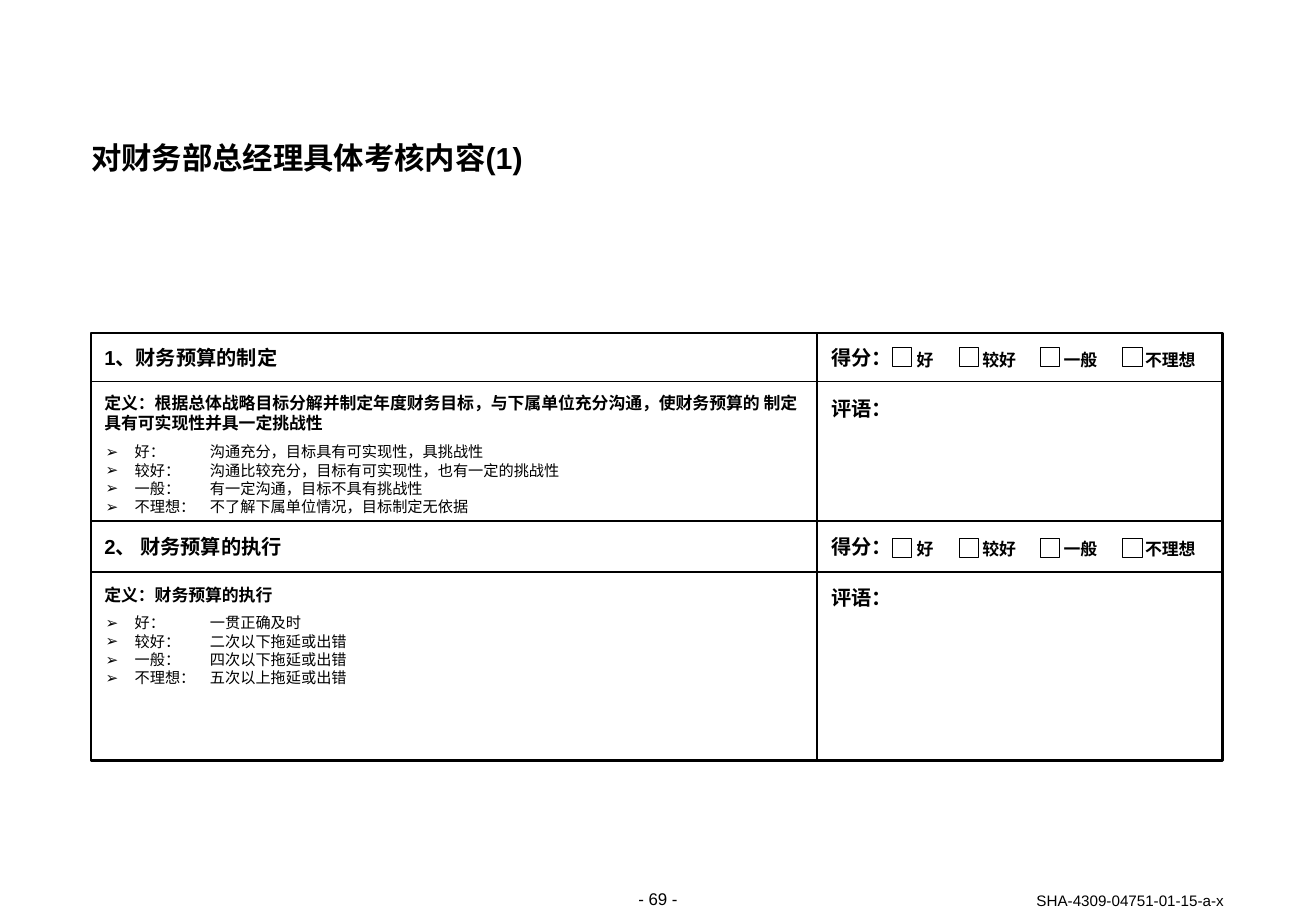
from lxml.etree import SubElement
from pptx import Presentation
from pptx.dml.color import RGBColor
from pptx.enum.shapes import MSO_CONNECTOR, MSO_SHAPE
from pptx.enum.text import MSO_ANCHOR, PP_ALIGN
from pptx.oxml.ns import qn
from pptx.util import Emu, Pt

TITLE = "对财务部总经理具体考核内容(1)"
PAGE_NUMBER = "- 69 -"
DOCUMENT_CODE = "SHA-4309-04751-01-15-a-x"
SCORE, COMMENT = "得分：", "评语："
OPTIONS = [("好", 735, 755), ("较好", 790, 809), ("一般", 857, 876), ("不理想", 925, 943)]
SECTIONS = [
    {
        "heading": "1、财务预算的制定",
        "definition": "定义：根据总体战略目标分解并制定年度财务目标，与下属单位充分沟通，"
                      "使财务预算的 制定\t 具有可实现性并具一定挑战性",
        "grades": ["沟通充分，目标具有可实现性，具挑战性",
                   "沟通比较充分，目标有可实现性，也有一定的挑战性",
                   "有一定沟通，目标不具有挑战性",
                   "不了解下属单位情况，目标制定无依据"],
        "heading_top": 284, "definition_top": 323, "definition_height": 33,
        "grades_top": 366, "comment_top": 327, "checkbox_top": 286, "label_top": 285,
    },
    {
        "heading": "2、 财务预算的执行",
        "definition": "定义：财务预算的执行",
        "grades": ["一贯正确及时", "二次以下拖延或出错",
                   "四次以下拖延或出错", "五次以上拖延或出错"],
        "heading_top": 440, "definition_top": 481, "definition_height": 17,
        "grades_top": 507, "comment_top": 483, "checkbox_top": 443, "label_top": 441,
    },
]
ROW_LINES = [314, 429, 471]

BLACK, WHITE = "000000", "FFFFFF"
FRAME_LEFT, FRAME_TOP, FRAME_WIDTH, FRAME_HEIGHT = 75, 274, 932, 352
COLUMN_X = 673
LEFT_TEXT, RIGHT_TEXT = 86, 685
CHECKBOX, CHARACTER = 16, 14
EMU_PER_PX = 9144


def px(length):
    return Emu(length * EMU_PER_PX)


def color(value):
    return RGBColor.from_string(value)


def add_bullet(para, mark):
    properties = para._p.get_or_add_pPr()
    properties.set("marL", str(px(25)))
    properties.set("indent", str(px(-24)))
    bullet_color = SubElement(properties, qn("a:buClr"))
    SubElement(bullet_color, qn("a:srgbClr"), val=BLACK)
    SubElement(properties, qn("a:buFont"), typeface="Arial")
    SubElement(properties, qn("a:buChar"), char=mark)


def add_tabs(para, stops):
    tabs = SubElement(para._p.get_or_add_pPr(), qn("a:tabLst"))
    for stop in stops:
        SubElement(tabs, qn("a:tab"), pos=str(px(stop)), algn="l")


def add_text(page, lines, left, top, width, height, size=12, bold=True, wrap=True,
             align=PP_ALIGN.LEFT, anchor=MSO_ANCHOR.TOP, spacing=None, before=None,
             bullet=None, tabs=()):
    box = page.shapes.add_textbox(px(left), px(top), px(width), px(height))
    frame = box.text_frame
    frame.margin_left = frame.margin_right = frame.margin_top = frame.margin_bottom = 0
    frame.word_wrap = wrap
    frame.vertical_anchor = anchor
    for index, line in enumerate(lines):
        para = frame.add_paragraph() if index else frame.paragraphs[0]
        para.alignment = align
        if spacing:
            para.line_spacing = spacing
        if before and index:
            para.space_before = before
        if bullet:
            add_bullet(para, bullet)
        if tabs:
            add_tabs(para, tabs)
        span = para.add_run()
        span.text = line
        span.font.name = "Arial"
        span.font.size = Pt(size)
        span.font.bold = bold
        span.font.color.rgb = color(BLACK)


def add_centered(page, text, left, top, width, size):
    add_text(page, [text], left, top, width, 19, size=size, wrap=False,
             align=PP_ALIGN.CENTER, anchor=MSO_ANCHOR.MIDDLE, spacing=Pt(14))


def add_rectangle(page, left, top, width, height, weight, fill=None):
    shape = page.shapes.add_shape(MSO_SHAPE.RECTANGLE, px(left), px(top), px(width), px(height))
    shape.shadow.inherit = False
    if fill:
        shape.fill.solid()
        shape.fill.fore_color.rgb = color(fill)
    else:
        shape.fill.background()
    shape.line.color.rgb = color(BLACK)
    shape.line.width = Pt(weight)


def add_line(page, x1, y1, x2, y2, weight):
    line = page.shapes.add_connector(MSO_CONNECTOR.STRAIGHT, px(x1), px(y1), px(x2), px(y2))
    line.line.color.rgb = color(BLACK)
    line.line.width = Pt(weight)
    SubElement(line._element.spPr, qn("a:effectLst"))


def add_section(page, section):
    add_text(page, [section["heading"]], LEFT_TEXT, section["heading_top"], 197, 20)
    add_text(page, [section["definition"]], LEFT_TEXT, section["definition_top"], 574,
             section["definition_height"], size=10, tabs=(38, 225, 600))
    grades = [f"{option[0]}：\t{text}" for option, text in zip(OPTIONS, section["grades"])]
    add_text(page, grades, LEFT_TEXT, section["grades_top"], 576, 59, size=9, bold=False,
             spacing=0.9, before=Pt(1.1), bullet="➢", tabs=(87,))
    add_text(page, [SCORE], RIGHT_TEXT, section["heading_top"], 55, 20)
    add_centered(page, COMMENT, RIGHT_TEXT, section["comment_top"], 50, 12)
    for name, checkbox_left, label_left in OPTIONS:
        add_rectangle(page, checkbox_left, section["checkbox_top"], CHECKBOX, CHECKBOX, 0.5,
                      fill=WHITE)
        add_centered(page, name, label_left, section["label_top"], len(name) * CHARACTER, 10)


def main():
    deck = Presentation()
    deck.slide_width, deck.slide_height = px(1084), px(750)
    page = deck.slides.add_slide(deck.slide_layouts[6])

    add_text(page, [TITLE], FRAME_LEFT, 117, 933, 28, size=18, spacing=Pt(20))
    add_rectangle(page, FRAME_LEFT, FRAME_TOP, FRAME_WIDTH, FRAME_HEIGHT, 1.5)
    add_line(page, COLUMN_X, FRAME_TOP, COLUMN_X, FRAME_TOP + FRAME_HEIGHT, 1.5)
    for y in ROW_LINES:
        add_line(page, FRAME_LEFT, y, FRAME_LEFT + FRAME_WIDTH, y, 1)
    for section in SECTIONS:
        add_section(page, section)

    add_text(page, [PAGE_NUMBER], 485, 732, 114, 17, size=10, bold=False, align=PP_ALIGN.CENTER)
    add_text(page, [DOCUMENT_CODE], 764, 734, 244, 15, size=9, bold=False,
             align=PP_ALIGN.RIGHT, anchor=MSO_ANCHOR.BOTTOM, spacing=Pt(11))
    deck.save("out.pptx")


if __name__ == "__main__":
    main()
